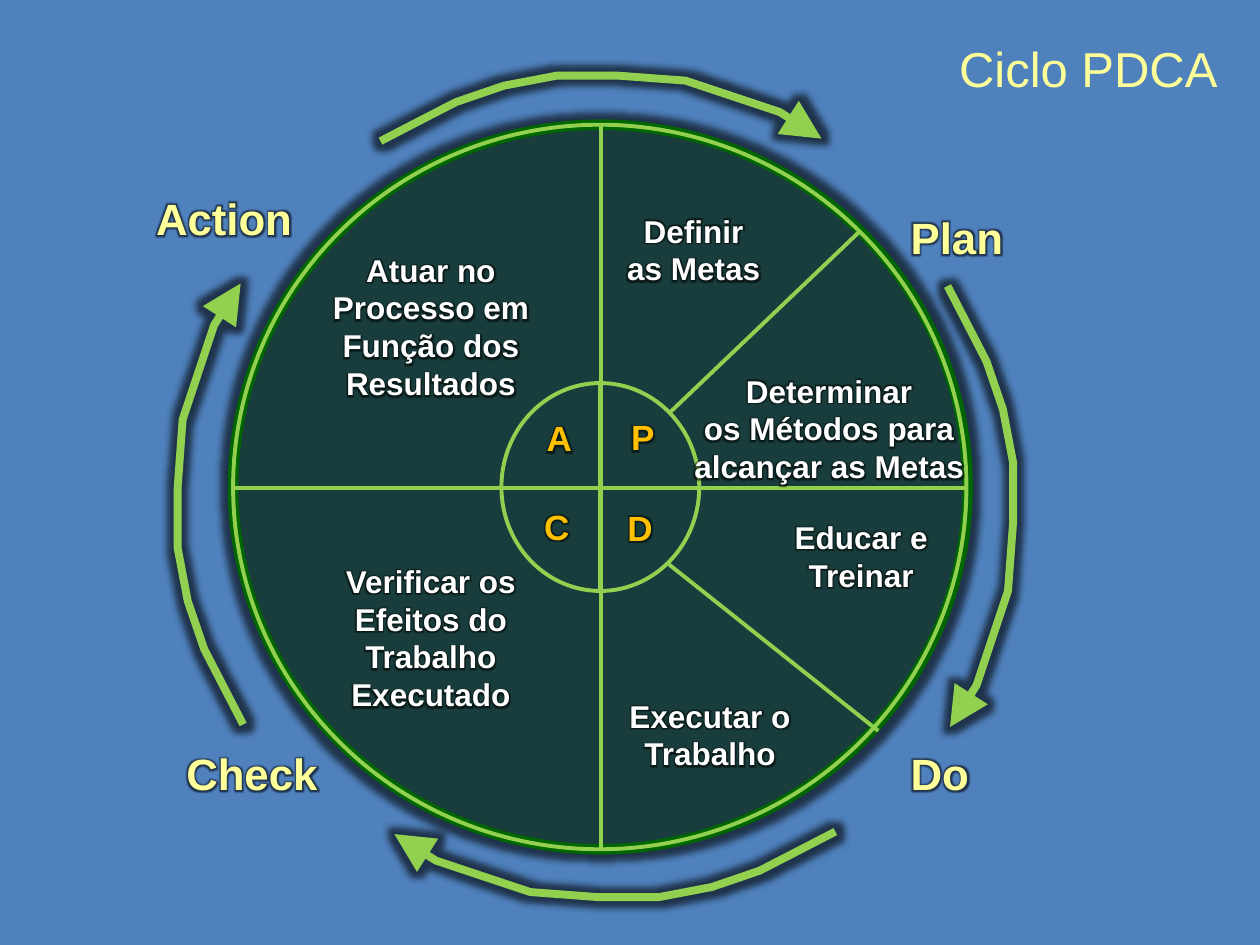
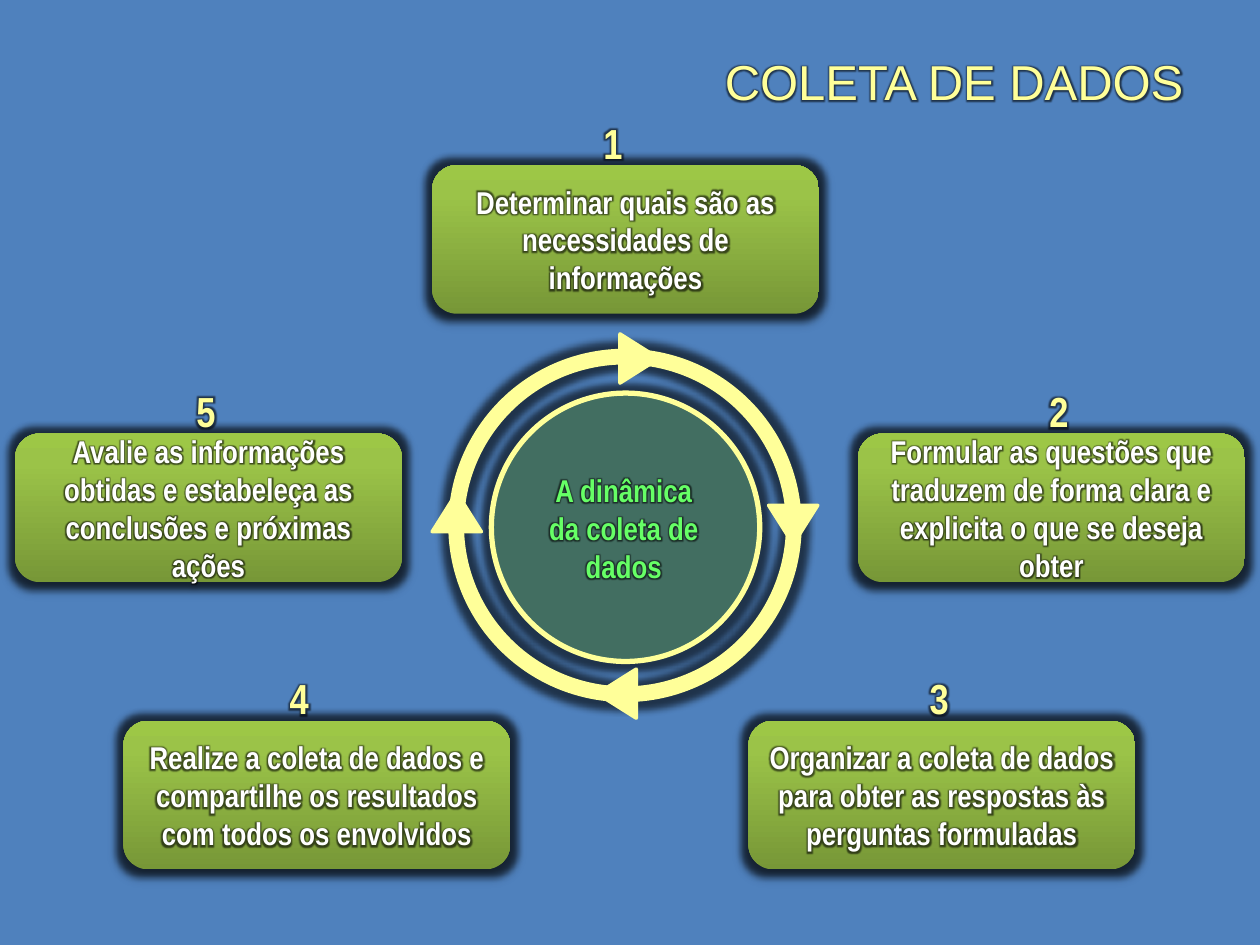
from dataclasses import dataclass

from lxml.etree import SubElement
from pptx import Presentation
from pptx.dml.color import RGBColor
from pptx.enum.shapes import MSO_CONNECTOR, MSO_SHAPE
from pptx.enum.text import MSO_ANCHOR, MSO_AUTO_SIZE, PP_ALIGN
from pptx.oxml.ns import qn
from pptx.util import Inches, Pt


@dataclass(frozen=True)
class Theme:
    background: str = "4F81BD"
    cream: str = "FFFF99"
    white: str = "FFFFFF"
    lime: str = "92D050"
    forest: str = "006600"
    amber: str = "FFC000"
    mint: str = "99FF99"
    bright_green: str = "66FF66"
    black: str = "000000"
    card_stops: tuple = ((0, "779737"), (80, "9BC348"), (100, "9DC746"))
    font: str = "Arial"
    narrow: str = "Arial Narrow"
    title_size: float = 28
    stage_size: float = 25
    number_size: float = 24
    letter_size: float = 20
    body_size: float = 18
    shape_glow: float = 8
    text_glow: float = 5


THEME = Theme()


@dataclass(frozen=True)
class TextStyle:
    size: float
    color: str
    font: str = THEME.font
    bold: bool = True
    align: PP_ALIGN = PP_ALIGN.LEFT
    glow: bool = True


@dataclass(frozen=True)
class Label:
    text: str
    left: float
    top: float
    width: float
    height: float


@dataclass(frozen=True)
class Step:
    text: str
    left: float
    top: float
    number_left: float


TITLE = TextStyle(THEME.title_size, THEME.cream, bold=False, align=PP_ALIGN.RIGHT)
PLAIN_TITLE = TextStyle(THEME.title_size, THEME.cream, bold=False,
                        align=PP_ALIGN.RIGHT, glow=False)
STAGE = TextStyle(THEME.stage_size, THEME.cream)
LETTER = TextStyle(THEME.letter_size, THEME.amber)
TASK = TextStyle(THEME.body_size, THEME.white, align=PP_ALIGN.CENTER)
CARD = TextStyle(THEME.body_size, THEME.white, THEME.narrow, align=PP_ALIGN.CENTER)
HUB = TextStyle(THEME.body_size, THEME.bright_green, THEME.narrow, align=PP_ALIGN.CENTER)
NUMBER = TextStyle(THEME.number_size, THEME.cream, THEME.narrow)

# Slide 1 content
TASKS = (
    Label("Atuar no\nProcesso em\nFunção dos\nResultados", 2.17, 1.94, 2.5, 1.31),
    Label("Verificar os\nEfeitos do\nTrabalho\nExecutado", 2.17, 4.41, 2.5, 1.31),
    Label("Definir\nas Metas", 4.69, 1.63, 1.63, 0.71),
    Label("Executar o\nTrabalho", 4.61, 5.48, 2.05, 0.71),
    Label("Educar e\nTreinar", 6.02, 4.06, 1.63, 0.71),
    Label("Determinar\nos Métodos para\nalcançar as Metas", 5.24, 2.9, 2.68, 1.01),
)
STAGES = (
    Label("Plan", 7.13, 1.62, 0.94, 0.52),
    Label("Check", 1.38, 5.88, 1.25, 0.52),
    Label("Do", 7.13, 5.88, 0.67, 0.52),
    Label("Action", 1.14, 1.47, 1.29, 0.52),
)
LETTERS = (
    Label("A", 4.24, 3.26, 0.41, 0.4),
    Label("C", 4.22, 3.96, 0.41, 0.4),
    Label("D", 4.88, 3.97, 0.41, 0.4),
    Label("P", 4.91, 3.25, 0.39, 0.4),
)
SPOKES = (
    (6.97, 5.8, 5.31, 4.48), (6.82, 1.84, 5.31, 3.28),
    (4.76, 3.04, 4.76, 4.69), (3.98, 3.87, 5.55, 3.87),
    (4.77, 0.99, 4.77, 6.74), (1.85, 3.87, 7.68, 3.87),
)
# One arc as offsets from its start; each quarter turn gives the next arrow
ARC = ((0.27, -0.14), (0.6, -0.31), (0.98, -0.44), (1.4, -0.52), (1.88, -0.52),
       (2.42, -0.48), (2.81, -0.35), (3.17, -0.23), (3.5, -0.02))
ARC_STARTS = ((3.02, 1.12), (7.52, 2.27), (6.63, 6.6), (1.93, 5.75))

# Slide 2 content
CARD_WIDTH, CARD_HEIGHT, NUMBER_RISE = 3.07, 1.18, 0.43
STEPS = (
    Step("Determinar quais são as necessidades de informações", 3.43, 1.31, 4.69),
    Step("Formular as questões que traduzem de forma clara e explicita "
         "o que se deseja obter", 6.81, 3.44, 8.23),
    Step("Organizar a coleta de dados para obter as respostas às "
         "perguntas formuladas", 5.94, 5.72, 7.28),
    Step("Realize a coleta de dados e compartilhe os resultados com "
         "todos os envolvidos", 0.98, 5.72, 2.2),
    Step("Avalie as informações obtidas e estabeleça as conclusões e "
         "próximas ações", 0.12, 3.44, 1.46),
)
RING_HEADS = ((4.88, 2.69, 90), (6.1, 4.01, 180), (4.7, 5.35, 270), (3.43, 3.91, 0))


def rgb(color: str) -> RGBColor:
    return RGBColor.from_string(color)


# XML helpers
def add_color(parent, color: str, alpha: int = 100) -> None:
    node = SubElement(parent, qn("a:srgbClr"), val=color)
    if alpha < 100:
        SubElement(node, qn("a:alpha"), val=str(alpha * 1000))


def add_glow(effects, radius: float) -> None:
    glow = SubElement(effects, qn("a:glow"), rad=str(Pt(radius)))
    add_color(glow, THEME.black, 60)


def glow_shape(shape):
    """Put a dark halo on a shape and return its effect list."""
    shape.shadow.inherit = False
    effects = shape._element.spPr.find(qn("a:effectLst"))
    add_glow(effects, THEME.shape_glow)
    return effects


# Drawing helpers
def write_text(frame, text: str, style: TextStyle) -> None:
    for index, line in enumerate(text.split("\n")):
        para = frame.paragraphs[0] if index == 0 else frame.add_paragraph()
        para.alignment = style.align
        span = para.add_run()
        span.text = line
        span.font.size = Pt(style.size)
        span.font.bold = style.bold
        span.font.color.rgb = rgb(style.color)
        if style.glow:
            effects = SubElement(span.font._element, qn("a:effectLst"))
            add_glow(effects, THEME.text_glow)
        span.font.name = style.font


def add_label(page, label: Label, style: TextStyle, wrap: bool = True) -> None:
    box = page.shapes.add_textbox(Inches(label.left), Inches(label.top),
                                  Inches(label.width), Inches(label.height))
    box.text_frame.word_wrap = wrap
    box.text_frame.auto_size = MSO_AUTO_SIZE.SHAPE_TO_FIT_TEXT
    write_text(box.text_frame, label.text, style)


def add_figure(page, kind, left: float, top: float, width: float, height: float,
               line: str | None = None, weight: float = 0,
               fill: str | None = None, alpha: int = 100):
    shape = page.shapes.add_shape(kind, Inches(left), Inches(top),
                                  Inches(width), Inches(height))
    shape.shadow.inherit = False
    if fill:
        shape.fill.solid()
        shape.fill.fore_color.rgb = rgb(fill)
        if alpha < 100:
            color = shape._element.spPr.find(qn("a:solidFill"))[0]
            SubElement(color, qn("a:alpha"), val=str(alpha * 1000))
    else:
        shape.fill.background()
    if line:
        shape.line.color.rgb = rgb(line)
        shape.line.width = Pt(weight)
    else:
        shape.line.fill.background()
    return shape


def add_spoke(page, start_x: float, start_y: float, end_x: float, end_y: float) -> None:
    spoke = page.shapes.add_connector(MSO_CONNECTOR.STRAIGHT, Inches(start_x),
                                      Inches(start_y), Inches(end_x), Inches(end_y))
    spoke.line.color.rgb = rgb(THEME.lime)
    spoke.line.width = Pt(2.25)
    SubElement(spoke._element.spPr, qn("a:effectLst"))


def add_arc(page, start: tuple[float, float], quarter_turns: int) -> None:
    points = []
    for x, y in ARC:
        for _ in range(quarter_turns):
            x, y = -y, x
        points.append((Inches(start[0] + x), Inches(start[1] + y)))
    builder = page.shapes.build_freeform(Inches(start[0]), Inches(start[1]))
    builder.add_line_segments(points, close=False)
    arc = builder.convert_to_shape()
    arc.fill.background()
    arc.line.color.rgb = rgb(THEME.lime)
    arc.line.width = Pt(4.5)
    SubElement(arc.line._get_or_add_ln(), qn("a:tailEnd"),
               type="triangle", w="lg", len="lg")
    glow_shape(arc)


def add_step(page, number: int, step: Step) -> None:
    card = add_figure(page, MSO_SHAPE.ROUNDED_RECTANGLE, step.left, step.top,
                      CARD_WIDTH, CARD_HEIGHT)
    properties = card._element.spPr
    empty_fill = properties.find(qn("a:noFill"))
    gradient = SubElement(properties, qn("a:gradFill"), rotWithShape="1")
    stops = SubElement(gradient, qn("a:gsLst"))
    for position, color in THEME.card_stops:
        add_color(SubElement(stops, qn("a:gs"), pos=str(position * 1000)), color)
    SubElement(gradient, qn("a:lin"), ang="16200000", scaled="0")
    properties.replace(empty_fill, gradient)
    shadow = SubElement(glow_shape(card), qn("a:outerShdw"), blurRad=str(Pt(3.1)),
                        dist=str(Pt(1.8)), dir="5400000", rotWithShape="0")
    add_color(shadow, THEME.black, 35)
    card.text_frame.word_wrap = True
    card.text_frame.vertical_anchor = MSO_ANCHOR.MIDDLE
    write_text(card.text_frame, step.text, CARD)
    add_label(page, Label(str(number), step.number_left, step.top - NUMBER_RISE,
                          0.36, 0.5), NUMBER, wrap=False)


def add_page(deck):
    page = deck.slides.add_slide(deck.slide_layouts[6])
    page.background.fill.solid()
    page.background.fill.fore_color.rgb = rgb(THEME.background)
    return page


# Slides
def build_cycle(deck) -> None:
    page = add_page(deck)
    disc = add_figure(page, MSO_SHAPE.OVAL, 1.85, 0.99, 5.83, 5.75,
                      THEME.forest, 6, THEME.forest, 20)
    glow_shape(disc)
    add_label(page, Label("Ciclo PDCA", 6.02, 0.26, 3.74, 0.57), PLAIN_TITLE)
    for bounds in ((3.98, 3.04, 1.57, 1.65), (1.85, 0.99, 5.82, 5.75)):
        add_figure(page, MSO_SHAPE.OVAL, *bounds, THEME.lime, 2.25)
    for spoke in SPOKES:
        add_spoke(page, *spoke)
    for labels, style, wrap in ((LETTERS, LETTER, False), (TASKS, TASK, True),
                                (STAGES, STAGE, False)):
        for label in labels:
            add_label(page, label, style, wrap)
    for quarter_turns, start in enumerate(ARC_STARTS):
        add_arc(page, start, quarter_turns)


def build_collection(deck) -> None:
    page = add_page(deck)
    hub = add_figure(page, MSO_SHAPE.OVAL, 3.9, 3.12, 2.13, 2.13,
                     THEME.cream, 3, THEME.mint, 29)
    glow_shape(hub)
    add_label(page, Label("COLETA DE DADOS", 2.4, 0.36, 7.09, 0.57), TITLE)
    add_label(page, Label("A dinâmica da coleta de dados", 4.24, 3.69, 1.42, 1.01), HUB)
    ring = add_figure(page, MSO_SHAPE.OVAL, 3.62, 2.83, 2.68, 2.68, THEME.cream, 9)
    glow_shape(ring)
    for left, top, rotation in RING_HEADS:
        head = add_figure(page, MSO_SHAPE.ISOSCELES_TRIANGLE, left, top, 0.39, 0.31,
                          THEME.cream, 2, THEME.cream)
        head.rotation = rotation
    for number, step in enumerate(STEPS, start=1):
        add_step(page, number, step)


def main() -> None:
    deck = Presentation()
    deck.slide_width, deck.slide_height = Inches(10), Inches(7.5)
    build_cycle(deck)
    build_collection(deck)
    deck.save("out.pptx")


if __name__ == "__main__":
    main()
